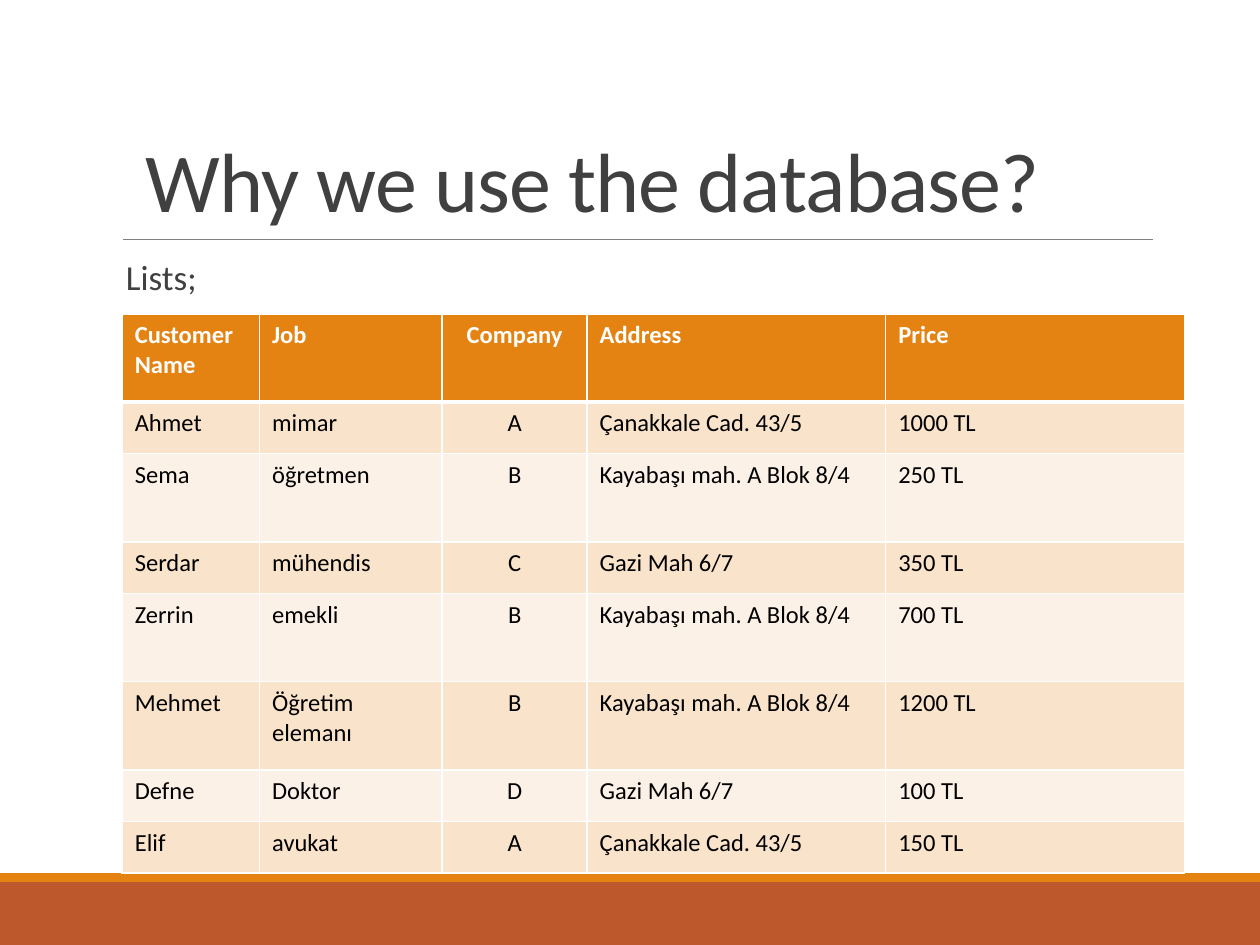
from dataclasses import dataclass

from lxml import etree
from pptx import Presentation
from pptx.dml.color import RGBColor
from pptx.enum.shapes import MSO_CONNECTOR, MSO_SHAPE
from pptx.enum.text import MSO_ANCHOR, PP_ALIGN
from pptx.oxml.ns import qn
from pptx.util import Inches, Pt

RECT = MSO_SHAPE.RECTANGLE
LINE = MSO_CONNECTOR.STRAIGHT
TOP, BOTTOM = MSO_ANCHOR.TOP, MSO_ANCHOR.BOTTOM
LEFT, CENTER = PP_ALIGN.LEFT, PP_ALIGN.CENTER


@dataclass(frozen=True)
class Theme:
    font: str = "Calibri"
    orange: str = "E48312"
    rust: str = "BD582C"
    peach: str = "F9E3CB"
    cream: str = "FCF1E7"
    white: str = "FFFFFF"
    black: str = "000000"
    dark: str = "404040"
    gray: str = "808080"
    title: int = 48
    body: int = 20
    cell: int = 14


HEAD = ["Customer Name", "Job", "Company", "Address", "Price"]
ROWS = [
    ["Ahmet", "mimar", "A", "Çanakkale Cad. 43/5", "1000 TL"],
    ["Sema", "öğretmen", "B", "Kayabaşı mah. A Blok 8/4", "250 TL"],
    ["Serdar", "mühendis", "C", "Gazi Mah 6/7", "350 TL"],
    ["Zerrin", "emekli", "B", "Kayabaşı mah. A Blok 8/4", "700 TL"],
    ["Mehmet", "Öğretim elemanı", "B", "Kayabaşı mah. A Blok 8/4", "1200 TL"],
    ["Defne", "Doktor", "D", "Gazi Mah 6/7", "100 TL"],
    ["Elif", "avukat", "A", "Çanakkale Cad. 43/5", "150 TL"],
]
WIDTHS = [1.09, 1.45, 1.15, 2.37, 2.37]
LOW, TALL = 0.41, 0.7
HEIGHTS = [TALL, LOW, TALL, LOW, TALL, TALL, LOW, LOW]


class Deck:
    def __init__(self, theme):
        self.theme = theme
        self.prs = Presentation()
        self.prs.slide_width = Inches(10)
        self.prs.slide_height = Inches(7.5)
        self.slide = self.prs.slides.add_slide(self.prs.slide_layouts[6])

    def style(self, para, size, color, bold=False):
        for run in para.runs:
            run.font.name = self.theme.font
            run.font.size = Pt(size)
            run.font.bold = bold
            run.font.color.rgb = RGBColor.from_string(color)

    def band(self, top, height, color):
        """Draw a bar across the full slide width."""
        shape = self.slide.shapes.add_shape(
            RECT, 0, Inches(top), self.prs.slide_width, Inches(height))
        shape.shadow.inherit = False
        shape.fill.solid()
        shape.fill.fore_color.rgb = RGBColor.from_string(color)
        shape.line.fill.background()

    def rule(self, left, right, top, color, width):
        line = self.slide.shapes.add_connector(
            LINE, Inches(left), Inches(top), Inches(right), Inches(top))
        line.line.color.rgb = RGBColor.from_string(color)
        line.line.width = Pt(width)
        etree.SubElement(line._element.spPr, qn("a:effectLst"))

    def text(self, box, words, size, spacing, anchor=TOP):
        shape = self.slide.shapes.add_textbox(*map(Inches, box))
        frame = shape.text_frame
        frame.word_wrap = True
        frame.vertical_anchor = anchor
        frame.text = words
        para = frame.paragraphs[0]
        para.line_spacing = spacing
        self.style(para, size, self.theme.dark)
        return para

    def edge(self, cell, side, width):
        """Add one cell border; call before the cell is filled."""
        line = etree.SubElement(
            cell._tc.get_or_add_tcPr(), qn(f"a:ln{side}"), w=str(Pt(width)))
        fill = etree.SubElement(line, qn("a:solidFill"))
        etree.SubElement(fill, qn("a:srgbClr"), val=self.theme.white)

    def cell(self, cell, words, row, align):
        theme = self.theme
        head = row == 0
        cell.text = words
        para = cell.text_frame.paragraphs[0]
        para.alignment = align
        self.style(para, theme.cell, theme.white if head else theme.black, head)
        edges = {"L": 1, "R": 1, "T": 3 if row == 1 else 1, "B": 3 if head else 1}
        for side, width in edges.items():
            self.edge(cell, side, width)
        stripe = theme.peach if row % 2 else theme.cream
        cell.fill.solid()
        cell.fill.fore_color.rgb = RGBColor.from_string(
            theme.orange if head else stripe)

    def table(self, left, top, data, widths, heights, middle):
        """Draw a striped table; middle is the index of the centred column."""
        grid = self.slide.shapes.add_table(
            len(data), len(widths), Inches(left), Inches(top),
            Inches(sum(widths)), Inches(sum(heights))).table
        for col, width in zip(grid.columns, widths):
            col.width = Inches(width)
        for row, height in zip(grid.rows, heights):
            row.height = Inches(height)
        for r, line in enumerate(data):
            for c, words in enumerate(line):
                self.cell(grid.cell(r, c), words, r, CENTER if c == middle else LEFT)


def main():
    theme = Theme()
    deck = Deck(theme)
    deck.band(7, 0.5, theme.rust)
    deck.band(6.93, 0.07, theme.orange)
    deck.rule(0.98, 9.15, 1.9, theme.gray, 0.5)

    lists = deck.text((0.9, 2.02, 8.25, 4.4), "Lists;", theme.body, 0.9)
    lists.space_before, lists.space_after = Pt(12), Pt(2)

    deck.table(0.97, 2.49, [HEAD] + ROWS, WIDTHS, HEIGHTS, HEAD.index("Company"))

    title = deck.text((1.06, 0.28, 8.25, 1.59), "Why we use the database?",
                      theme.title, 0.85, BOTTOM)
    title.runs[0].font._element.set("spc", "-50")
    deck.prs.save("out.pptx")


if __name__ == "__main__":
    main()
